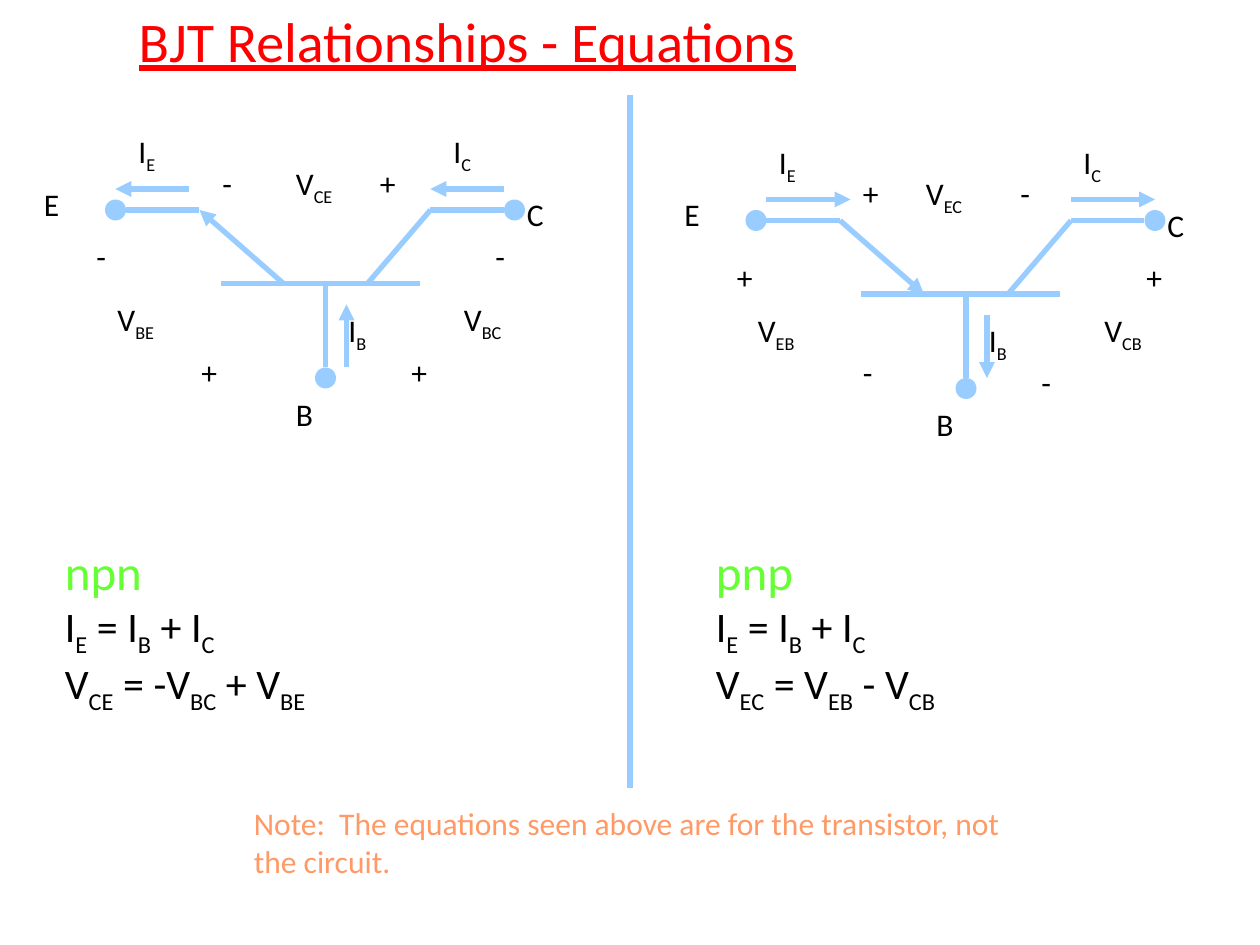
"""Build a slide comparing npn and pnp transistor currents and voltages."""
from lxml import etree
from pptx import Presentation
from pptx import util as u
from pptx.dml.color import RGBColor
from pptx.enum import shapes, text
from pptx.oxml.ns import qn

PX = 7620
RED = RGBColor(0xFF, 0x00, 0x00)
BLUE = RGBColor(0x99, 0xCC, 0xFF)
BLACK = RGBColor(0x00, 0x00, 0x00)
GREEN = RGBColor(0x66, 0xFF, 0x33)
ORANGE = RGBColor(0xFF, 0x99, 0x66)


def write(para, content, size=18, color=BLACK, underline=None):
    """Write text in which every second piece between underscores is a subscript."""
    for index, piece in enumerate(content.split("_")):
        if not piece:
            continue
        span = para.add_run()
        span.text = piece
        span.font.name = "Calibri"
        span.font.size = u.Pt(size)
        span.font.color.rgb = color
        span.font.underline = underline
        if index % 2:
            span.font._element.set("baseline", "-25000")


class Sketch:
    """Hold the drawing style and the current page."""

    def __init__(self, page, font_size=18, line_width=3, color=BLUE):
        self.page = page
        self.font_size = font_size
        self.line_width = line_width
        self.color = color

    def frame(self, box):
        frame = box.text_frame
        frame.word_wrap = True
        frame.auto_size = text.MSO_AUTO_SIZE.SHAPE_TO_FIT_TEXT
        frame.vertical_anchor = text.MSO_ANCHOR.TOP
        frame.paragraphs[0].alignment = text.PP_ALIGN.LEFT
        return frame

    def title(self, content, x, y, width, height):
        box = self.page.shapes.title
        box.left, box.top, box.width, box.height = (v * PX for v in (x, y, width, height))
        write(self.frame(box).paragraphs[0], content, size=32, color=RED, underline=True)

    def textbox(self, x, y, width, height, *lines):
        box = self.page.shapes.add_textbox(x * PX, y * PX, width * PX, height * PX)
        frame = self.frame(box)
        for index, (content, style) in enumerate(lines):
            para = frame.add_paragraph() if index else frame.paragraphs[0]
            write(para, content, **style)

    def label(self, content, x, y, width=80):
        self.textbox(x, y, width, 52, (content, {"size": self.font_size}))

    def line(self, x1, y1, x2, y2, arrow=False):
        wire = self.page.shapes.add_connector(
            shapes.MSO_CONNECTOR.STRAIGHT, x1 * PX, y1 * PX, x2 * PX, y2 * PX)
        wire.line.color.rgb = self.color
        wire.line.width = u.Pt(self.line_width)
        if arrow:
            etree.SubElement(wire.line._get_or_add_ln(), qn("a:tailEnd"), type="triangle")
        etree.SubElement(wire._element.spPr, qn("a:effectLst"))

    def terminal(self, x, y, size=20):
        dot = self.page.shapes.add_shape(
            shapes.MSO_SHAPE.OVAL, x * PX, y * PX, size * PX, size * PX)
        dot.shadow.inherit = False
        dot.fill.solid()
        dot.fill.fore_color.rgb = self.color
        dot.line.fill.background()

    def transistor(self, x, y, arrows, voltages, signs):
        wires = [(210, 270, 400, 270), (190, 200, 120, 200), (350, 270, 410, 200),
                 (480, 200, 410, 200), (310, 270, 310, 350)]
        for x1, y1, x2, y2 in wires:
            self.line(x + x1, y + y1, x + x2, y + y2)
        for x1, y1, x2, y2 in arrows:
            self.line(x + x1, y + y1, x + x2, y + y2, arrow=True)
        for left, top in [(300, 350), (480, 190), (100, 190)]:
            self.terminal(x + left, y + top)
        names = [("B", 270, 370), ("C", 490, 180), ("E", 30, 170),
                 ("I_E", 120, 120), ("I_B", 320, 290)]
        for content, left, top in names + voltages:
            self.label(content, x + left, y + top)
        for sign, left, top in signs:
            self.label(sign, x + left, y + top, width=50)

    def equations(self, x, kind, *formulas):
        lines = [(formula, {"size": 24}) for formula in formulas]
        self.textbox(x, 510, 510, 212, (kind, {"size": 28, "color": GREEN}), *lines)


def main():
    deck = Presentation()
    deck.slide_width, deck.slide_height = 1200 * PX, 900 * PX
    sketch = Sketch(deck.slides.add_slide(deck.slide_layouts[5]))
    sketch.title("BJT Relationships - Equations", 120, 0, 960, 76)
    sketch.transistor(
        0, 0,
        arrows=[(270, 270, 190, 200), (180, 180, 110, 180),
                (480, 180, 410, 180), (330, 350, 330, 290)],
        voltages=[("I_C", 420, 120), ("V_BE", 100, 280),
                  ("V_BC", 430, 280), ("V_CE", 270, 150)],
        signs=[("-", 80, 220), ("+", 180, 330), ("+", 380, 330),
               ("-", 460, 220), ("+", 350, 150), ("-", 200, 150)])
    sketch.transistor(
        610, 10,
        arrows=[(190, 200, 270, 270), (120, 180, 200, 180),
                (410, 180, 490, 180), (330, 290, 330, 350)],
        voltages=[("I_C", 410, 120), ("V_EB", 100, 280),
                  ("V_CB", 430, 280), ("V_EC", 260, 150)],
        signs=[("+", 80, 230), ("-", 200, 320), ("-", 370, 330),
               ("+", 470, 230), ("-", 350, 150), ("+", 200, 150)])
    sketch.line(600, 90, 600, 750)
    currents = "I_E_ = I_B_ + I_C"
    sketch.equations(50, "npn", currents, "V_CE_ = -V_BC_ + V_BE")
    sketch.equations(670, "pnp", currents, "V_EC_ = V_EB_ - V_CB")
    note = "Note:  The equations seen above are for the transistor, not the circuit."
    sketch.textbox(230, 760, 740, 92, (note, {"color": ORANGE}))
    deck.save("out.pptx")


if __name__ == "__main__":
    main()
